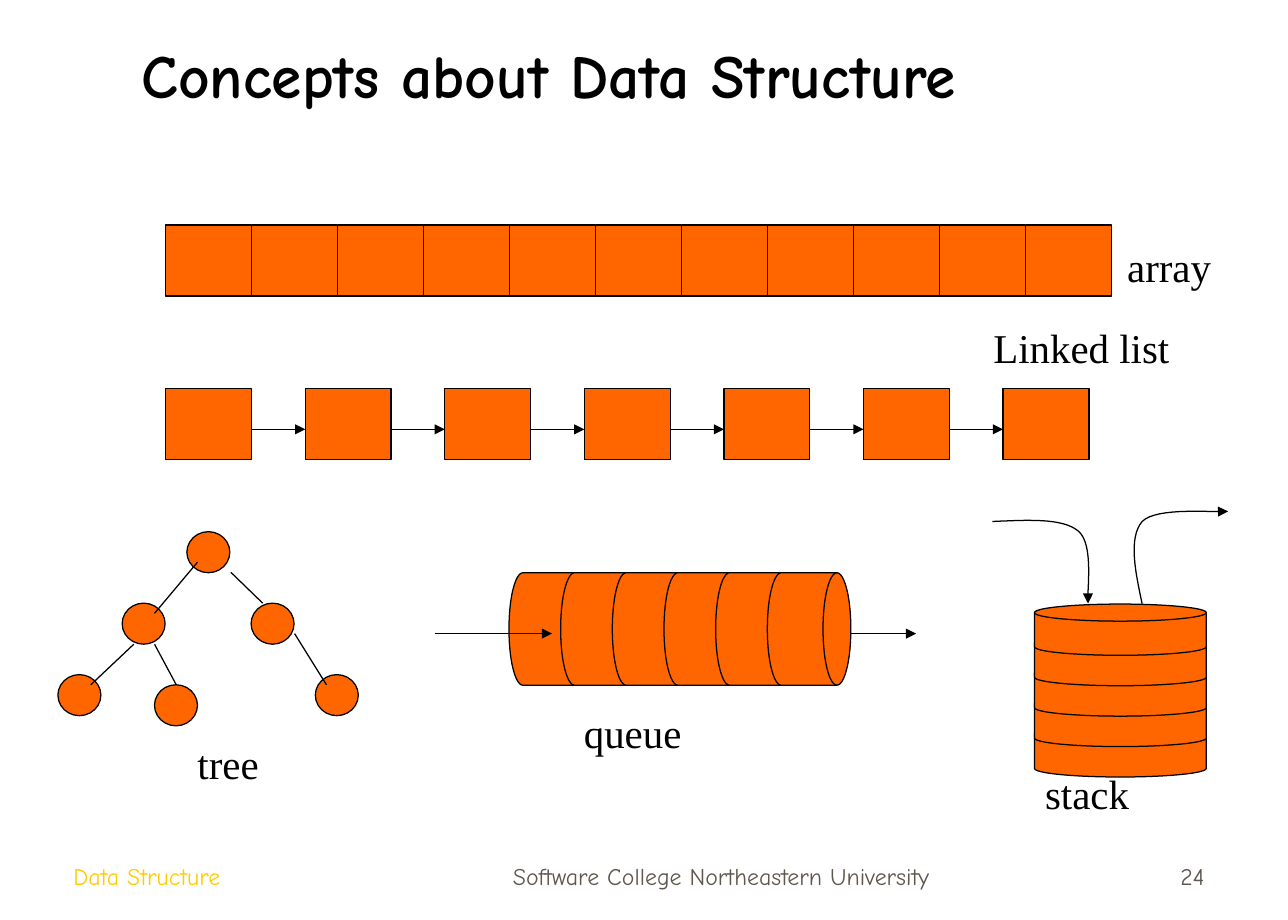
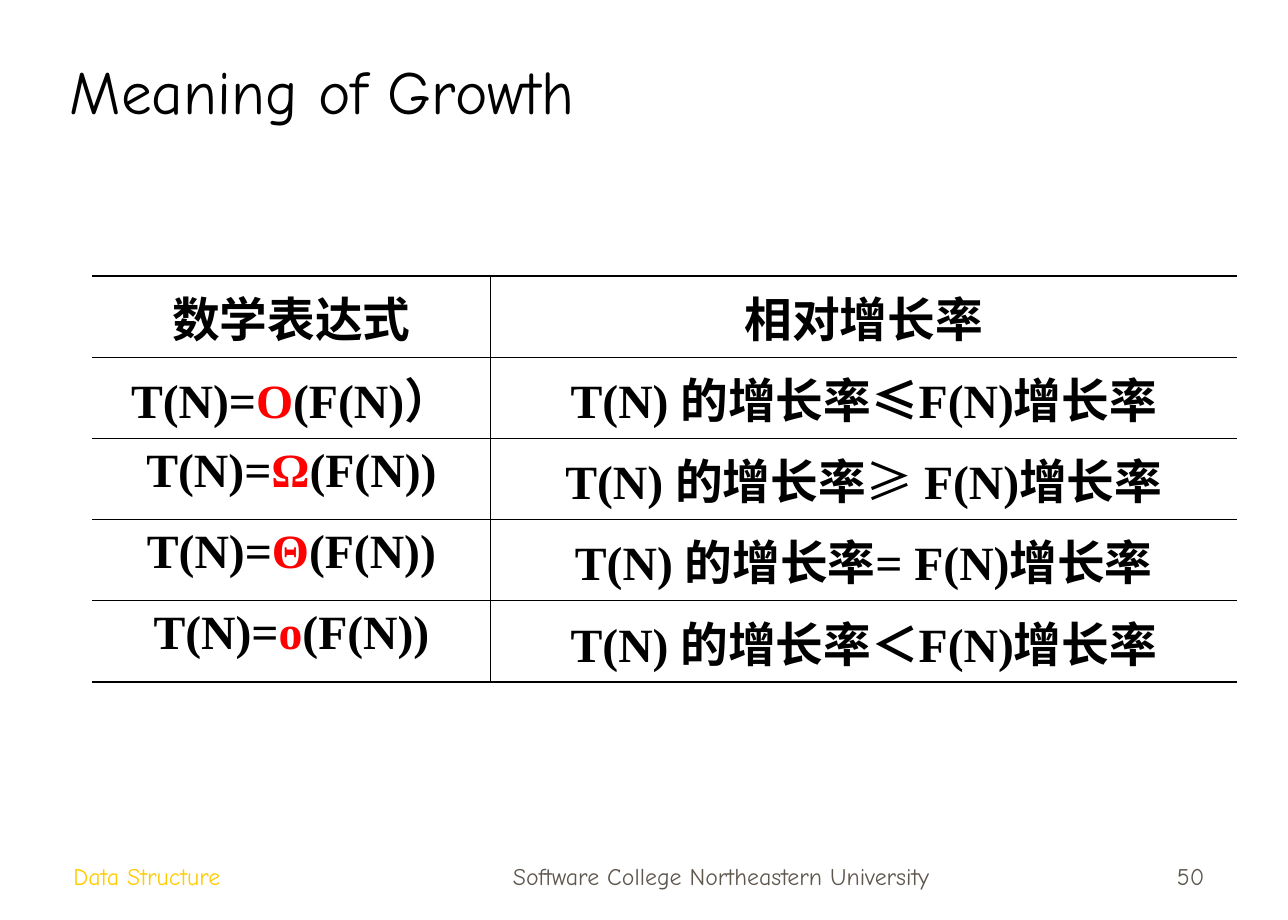
from dataclasses import dataclass

import lxml.etree
import pptx
import pptx.dml.color
import pptx.enum.shapes
import pptx.enum.text
import pptx.oxml.ns
import pptx.util

Cm = pptx.util.Cm
Pt = pptx.util.Pt
Kind = pptx.enum.shapes.MSO_SHAPE
Align = pptx.enum.text.PP_ALIGN
Anchor = pptx.enum.text.MSO_ANCHOR
qn = pptx.oxml.ns.qn

BLACK, RED, ORANGE, GOLD, GREY = "000000", "FF0000", "FF6600", "FFCC00", "5E574E"
COMIC, TIMES = "Comic Neue", "Times New Roman"
THIN, THICK = Pt(0.45), Pt(1.08)


@dataclass
class Box:
    x: float
    y: float
    w: float
    h: float

    def span(self) -> tuple:
        return Cm(self.x), Cm(self.y), Cm(self.w), Cm(self.h)


@dataclass
class Line:
    x1: float
    y1: float
    x2: float
    y2: float
    arrow: bool = False


@dataclass
class Label:
    text: str
    box: Box


@dataclass
class Part:
    text: str
    hue: str = BLACK
    bold: bool = True


@dataclass
class Note:
    text: str
    box: Box
    hue: str
    align: Align


def rgb(code: str) -> pptx.dml.color.RGBColor:
    return pptx.dml.color.RGBColor.from_string(code)


def style(font, face: str, size: float, hue: str, bold: bool = False) -> None:
    font.name = face
    font.size = Pt(size)
    font.bold = bold
    font.color.rgb = rgb(hue)


def ink(shape, arrow: bool = False) -> None:
    shape.line.color.rgb = rgb(BLACK)
    shape.line.width = Pt(0.75)
    if arrow:
        edge = shape.element.spPr.find(qn("a:ln"))
        lxml.etree.SubElement(edge, qn("a:tailEnd"), type="triangle")


def block(slide, kind: Kind, box: Box) -> None:
    shape = slide.shapes.add_shape(kind, *box.span())
    shape.shadow.inherit = False
    shape.fill.solid()
    shape.fill.fore_color.rgb = rgb(ORANGE)
    ink(shape)


def link(slide, line: Line) -> None:
    ends = (Cm(n) for n in (line.x1, line.y1, line.x2, line.y2))
    kind = pptx.enum.shapes.MSO_CONNECTOR.STRAIGHT
    wire = slide.shapes.add_connector(kind, *ends)
    ink(wire, line.arrow)
    lxml.etree.SubElement(wire.element.spPr, qn("a:effectLst"))


def curve(slide, knots: list[tuple[float, float]], steps: int = 16) -> None:
    dots = []
    for base in range(0, len(knots) - 1, 3):
        for step in range(1, steps + 1):
            t = step / steps
            rates = ((1 - t) ** 3, 3 * t * (1 - t) ** 2, 3 * t * t * (1 - t), t ** 3)
            group = list(zip(rates, knots[base:base + 4]))
            dots.append(tuple(Cm(sum(r * k[i] for r, k in group)) for i in (0, 1)))
    pen = slide.shapes.build_freeform(Cm(knots[0][0]), Cm(knots[0][1]))
    pen.add_line_segments(dots, close=False)
    shape = pen.convert_to_shape()
    shape.shadow.inherit = False
    shape.fill.background()
    ink(shape, True)


def label(slide, item: Label) -> None:
    frame = slide.shapes.add_textbox(*item.box.span()).text_frame
    frame.word_wrap = True
    para = frame.paragraphs[0]
    para.text = item.text
    style(para.font, TIMES, 24, BLACK)


def start(deck, title: str, box: Box, anchor: Anchor, bold: bool, page: str):
    slide = deck.slides.add_slide(deck.slide_layouts[5])
    head = slide.shapes.title
    head.left, head.top, head.width, head.height = box.span()
    frame = head.text_frame
    frame.text = title
    frame.auto_size = pptx.enum.text.MSO_AUTO_SIZE.NONE
    frame.vertical_anchor = anchor
    para = frame.paragraphs[0]
    para.alignment = Align.LEFT
    style(para.font, COMIC, 36, BLACK, bold)
    notes = (
        Note("Data Structure", Box(1.27, 17.3, 5.56, 1.27), GOLD, Align.LEFT),
        Note("Software College Northeastern University",
             Box(9.12, 17.3, 11.63, 1.27), GREY, Align.CENTER),
        Note(page, Box(19.63, 17.3, 5.56, 1.27), GREY, Align.RIGHT),
    )
    for note in notes:
        frame = slide.shapes.add_textbox(*note.box.span()).text_frame
        frame.word_wrap = True
        frame.vertical_anchor = Anchor.BOTTOM
        para = frame.paragraphs[0]
        para.text = note.text
        para.alignment = note.align
        style(para.font, COMIC, 14, note.hue)
    return slide


def draw(deck) -> None:
    slide = start(deck, "Concepts about Data Structure",
                  Box(2.67, 0.64, 22.68, 2.54), Anchor.TOP, True, "24")

    left, wide, high, pitch = 3.43, 1.78, 1.47, 2.89
    for i in range(11):
        block(slide, Kind.RECTANGLE, Box(left + i * wide, 4.66, wide, high))
    for i in range(7):
        x = left + i * pitch
        block(slide, Kind.RECTANGLE, Box(x, 8.05, wide, high))
        if i < 6:
            link(slide, Line(x + wide, 8.89, x + pitch, 8.89, True))

    nodes = ((3.87, 11.01), (2.53, 12.49), (1.2, 13.97),
             (5.2, 12.49), (6.53, 13.97), (3.2, 14.18))
    for x, y in nodes:
        block(slide, Kind.OVAL, Box(x, y, 0.89, 0.85))
    for i in range(6):
        block(slide, Kind.FLOWCHART_DIRECT_ACCESS_STORAGE,
              Box(10.54 + i * 1.07, 11.86, 1.73, 2.33))
    for i in range(5):
        block(slide, Kind.FLOWCHART_MAGNETIC_DISK,
              Box(21.42, 15.03 - i * 0.63, 3.56, 1.06))

    lines = (
        Line(4.09, 11.64, 3.2, 12.7),
        Line(2.77, 13.34, 1.88, 14.18),
        Line(4.78, 11.85, 5.44, 12.49),
        Line(6.1, 13.12, 6.76, 14.18),
        Line(3.2, 13.34, 3.65, 14.18),
        Line(9, 13.12, 11.43, 13.12, True),
        Line(17.62, 13.12, 18.97, 13.12, True),
    )
    for line in lines:
        link(slide, line)
    curve(slide, [(20.55, 10.8), (21.26, 10.77), (22, 10.72), (22.33, 11),
                  (22.66, 11.28), (22.5, 12.24), (22.53, 12.5)])
    curve(slide, [(23.65, 12.5), (23.5, 11.81), (23.37, 11.13), (23.65, 10.8),
                  (23.95, 10.49), (25.15, 10.62), (25.43, 10.59)])

    labels = (
        Label("array", Box(23.09, 4.87, 2.5, 1.27)),
        Label("Linked list", Box(20.32, 6.56, 4.5, 1.27)),
        Label("tree", Box(3.84, 15.16, 2, 1.27)),
        Label("queue", Box(11.84, 14.53, 2.8, 1.27)),
        Label("stack", Box(21.39, 15.8, 2.5, 1.27)),
    )
    for item in labels:
        label(slide, item)


def rule(cell, sides: dict[str, int]) -> None:
    props = cell._tc.get_or_add_tcPr()
    for side in "LRTB":
        width = sides.get(side, 0)
        edge = lxml.etree.SubElement(props, qn("a:ln" + side), w=str(int(width)))
        if width:
            fill = lxml.etree.SubElement(edge, qn("a:solidFill"))
            lxml.etree.SubElement(fill, qn("a:srgbClr"), val=BLACK)
        else:
            lxml.etree.SubElement(edge, qn("a:noFill"))


def write(cell, parts: list[Part]) -> None:
    para = cell.text_frame.paragraphs[0]
    para.alignment = Align.CENTER
    style(para.font, TIMES, 28, BLACK, True)
    for part in parts:
        run = para.add_run()
        run.text = part.text
        if part.hue != BLACK:
            run.font.color.rgb = rgb(part.hue)
        if not part.bold:
            run.font.bold = False


def growth(sign: str, tail: str = "(F(N))") -> list[Part]:
    return [Part("T(N)="), Part(sign, RED), Part(tail)]


def chart(deck) -> None:
    slide = start(deck, "Meaning of Growth",
                  Box(1.19, 0.64, 22.68, 2.11), Anchor.BOTTOM, False, "50")
    rows = (
        ([Part("数学表达式")], [Part("相对增长率")]),
        (growth("O", "(F(N)）"), [Part("T(N) 的增长率≤F(N)增长率")]),
        (growth("Ω"), [Part("T(N) 的增长率"), Part("≥ ", bold=False),
                       Part("F(N)增长率")]),
        (growth("Θ"), [Part("T(N) 的增长率= F(N)增长率")]),
        (growth("o"), [Part("T(N) 的增长率＜F(N)增长率")]),
    )
    box = Box(1.91, 5.72, 23.7, 8.4)
    grid = slide.shapes.add_table(len(rows), 2, *box.span()).table
    grid.first_row = grid.horz_banding = False
    for col, width in zip(grid.columns, (8.25, 15.45)):
        col.width = Cm(width)
    last = len(rows) - 1
    for r, row in enumerate(rows):
        grid.rows[r].height = Cm(box.h / len(rows))
        for c, parts in enumerate(row):
            cell = grid.cell(r, c)
            rule(cell, {"R" if c == 0 else "L": THIN,
                        "T": THICK if r == 0 else THIN,
                        "B": THICK if r == last else THIN})
            cell.fill.background()
            write(cell, parts)


def main() -> None:
    deck = pptx.Presentation()
    deck.slide_width, deck.slide_height = Cm(26.67), Cm(19.05)
    draw(deck)
    chart(deck)
    deck.save("out.pptx")


if __name__ == "__main__":
    main()
